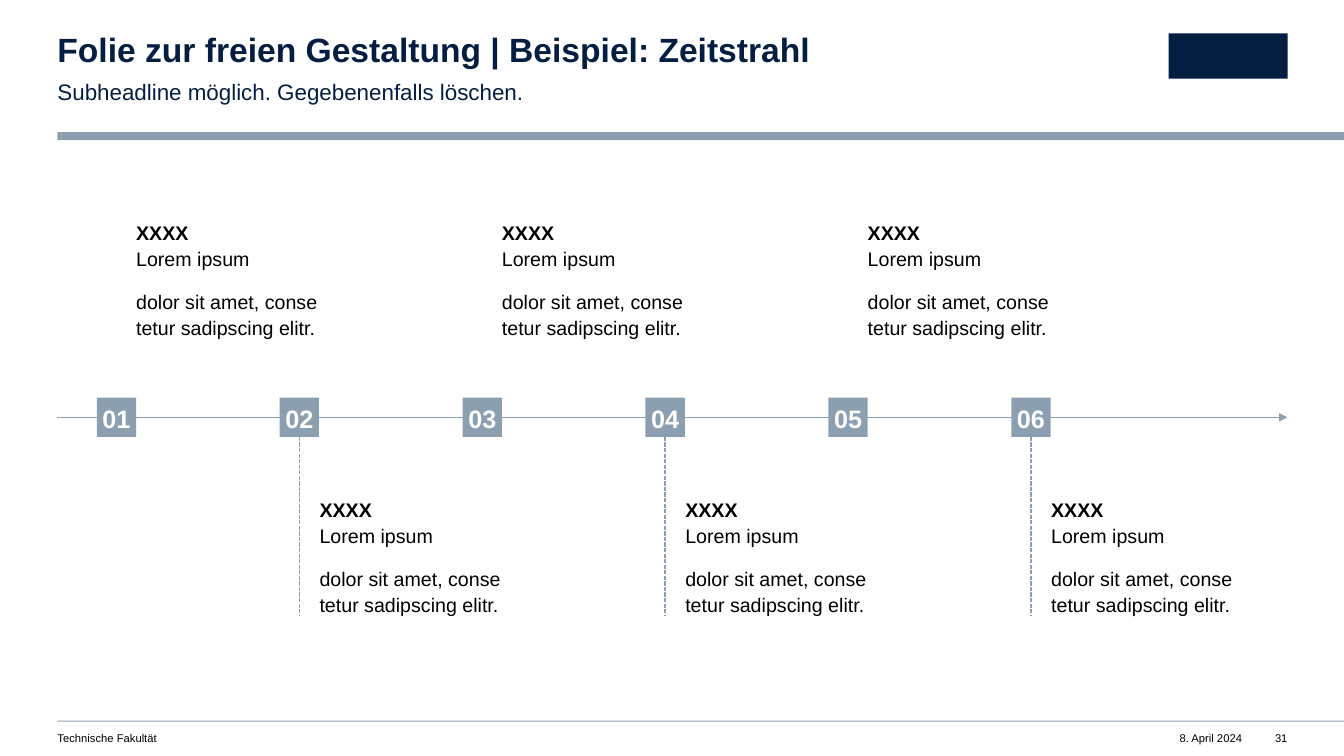
from dataclasses import dataclass

from lxml import etree
from pptx import Presentation
from pptx import util as u
from pptx.dml.color import RGBColor
from pptx.enum import dml, shapes, text
from pptx.oxml.ns import qn


@dataclass(frozen=True)
class Theme:
    font: str = "Arial"
    navy: str = "041E42"
    steel: str = "8C9FB1"
    black: str = "000000"
    white: str = "FFFFFF"
    title: int = 24
    subtitle: int = 16
    number: int = 18
    entry: int = 14
    footer: int = 8


class Slide:
    def __init__(self, page, theme):
        self.page = page
        self.theme = theme

    def place(self, shape, left, top, width, height):
        shape.left, shape.top = u.Inches(left), u.Inches(top)
        shape.width, shape.height = u.Inches(width), u.Inches(height)

    def set_text(self, shape, paragraphs, size, color, bold=False, lead_bold=False,
                 align=text.PP_ALIGN.LEFT, anchor=text.MSO_ANCHOR.TOP,
                 spacing=1.0, after=0, wrap=True, right_inset=0):
        frame = shape.text_frame
        frame.text = "\n".join(paragraphs)
        frame.auto_size = text.MSO_AUTO_SIZE.NONE
        frame.word_wrap = wrap
        frame.vertical_anchor = anchor
        frame.margin_left = frame.margin_top = frame.margin_bottom = 0
        frame.margin_right = u.Inches(right_inset)
        for para in frame.paragraphs:
            para.alignment = align
            para.line_spacing = spacing
            para.space_before = u.Pt(0)
            para.space_after = u.Pt(after)
            for span in para.runs:
                span.font.name = self.theme.font
                span.font.size = u.Pt(size)
                span.font.bold = bold
                span.font.color.rgb = RGBColor.from_string(color)
            for line_break in para._p.findall(qn("a:br")):
                etree.SubElement(line_break, qn("a:rPr"), sz=str(size * 100))
        if lead_bold:
            frame.paragraphs[0].runs[0].font.bold = True

    def title(self, words, *area):
        shape = self.page.shapes.title
        self.place(shape, *area)
        self.set_text(shape, [words], self.theme.title, self.theme.navy,
                      bold=True, spacing=0.9)

    def subtitle(self, words, *area):
        shape = self.page.placeholders[1]
        self.place(shape, *area)
        self.set_text(shape, [words], self.theme.subtitle, self.theme.navy,
                      spacing=1.1, after=12, right_inset=0.39)
        properties = shape.text_frame.paragraphs[0]._p.get_or_add_pPr()
        properties.set("marL", "0")
        properties.set("indent", "0")
        etree.SubElement(properties, qn("a:buNone"))

    def textbox(self, paragraphs, left, top, width, height, **style):
        box = self.page.shapes.add_textbox(
            u.Inches(left), u.Inches(top), u.Inches(width), u.Inches(height))
        self.set_text(box, paragraphs, **style)

    def block(self, color, left, top, width, height):
        box = self.page.shapes.add_shape(
            shapes.MSO_SHAPE.RECTANGLE,
            u.Inches(left), u.Inches(top), u.Inches(width), u.Inches(height))
        box.shadow.inherit = False
        box.fill.solid()
        box.fill.fore_color.rgb = RGBColor.from_string(color)
        box.line.fill.background()
        return box

    def marker(self, label, left, top, size):
        box = self.block(self.theme.steel, left, top, size, size)
        self.set_text(box, [label], self.theme.number, self.theme.white, bold=True,
                      align=text.PP_ALIGN.CENTER, anchor=text.MSO_ANCHOR.MIDDLE,
                      spacing=1.1, after=12)
        return box

    def line(self, x1, y1, x2, y2, dashed=False, arrow=False):
        line = self.page.shapes.add_connector(
            shapes.MSO_CONNECTOR.STRAIGHT,
            u.Inches(x1), u.Inches(y1), u.Inches(x2), u.Inches(y2))
        line.line.color.rgb = RGBColor.from_string(self.theme.steel)
        line.line.width = u.Pt(1)
        if dashed:
            line.line.dash_style = dml.MSO_LINE.SQUARE_DOT
        if arrow:
            outline = line._element.spPr.find(qn("a:ln"))
            etree.SubElement(outline, qn("a:tailEnd"), type="triangle")
        etree.SubElement(line._element.spPr, qn("a:effectLst"))
        return line


def main():
    deck = Presentation()
    deck.slide_width, deck.slide_height = u.Inches(13.33), u.Inches(7.5)
    theme = Theme()
    slide = Slide(deck.slides.add_slide(deck.slide_layouts[1]), theme)

    margin, right_edge = 0.57, 12.77
    band_width = 13.33 - margin
    slide.block(theme.steel, margin, 1.31, band_width, 0.08)
    slide.block(theme.steel, margin, 7.15, band_width, 0.01)
    slide.block(theme.navy, 11.59, 0.33, 1.18, 0.45)
    slide.title("Folie zur freien Gestaltung | Beispiel: Zeitstrahl",
                margin, 0.33, 7.49, 0.36)
    slide.subtitle("Subheadline möglich. Gegebenenfalls löschen.",
                   margin, 0.75, 7.49, 0.27)

    footer = dict(size=theme.footer, color=theme.black)
    right = dict(footer, align=text.PP_ALIGN.RIGHT, wrap=False)
    slide.textbox(["Technische Fakultät"], margin, 7.26, 5.98, 0.13, **footer)
    slide.textbox(["8. April 2024"], 11.67, 7.26, 0.65, 0.13, **right)
    slide.textbox(["31"], 12.64, 7.26, 0.13, 0.13, **right)

    axis, marker_size = 4.14, 0.39
    first, last, count = 0.96, 10.03, 6
    step = (last - first) / (count - 1)
    entry_width, entry_height = 1.95, 1.18
    upper_top, lower_top, stem_end = 2.17, 4.92, 6.11
    entry = ["XXXX\vLorem ipsum", "dolor sit amet, conse\vtetur sadipscing elitr."]

    slide.line(margin, axis, right_edge, axis, arrow=True)
    for index in range(count):
        left = first + index * step
        center = left + marker_size / 2
        marker = slide.marker(f"{index + 1:02}", left, axis - marker_size / 2, marker_size)
        below = index % 2 == 1
        if below:
            stem = slide.line(center, axis + marker_size / 2, center, stem_end, dashed=True)
            stem.begin_connect(marker, 2)
        entry_left = center + 0.2 if below else left + marker_size
        slide.textbox(entry, entry_left, lower_top if below else upper_top,
                      entry_width, entry_height, size=theme.entry, color=theme.black,
                      lead_bold=True, spacing=1.1, after=12)

    deck.save("out.pptx")


if __name__ == "__main__":
    main()
